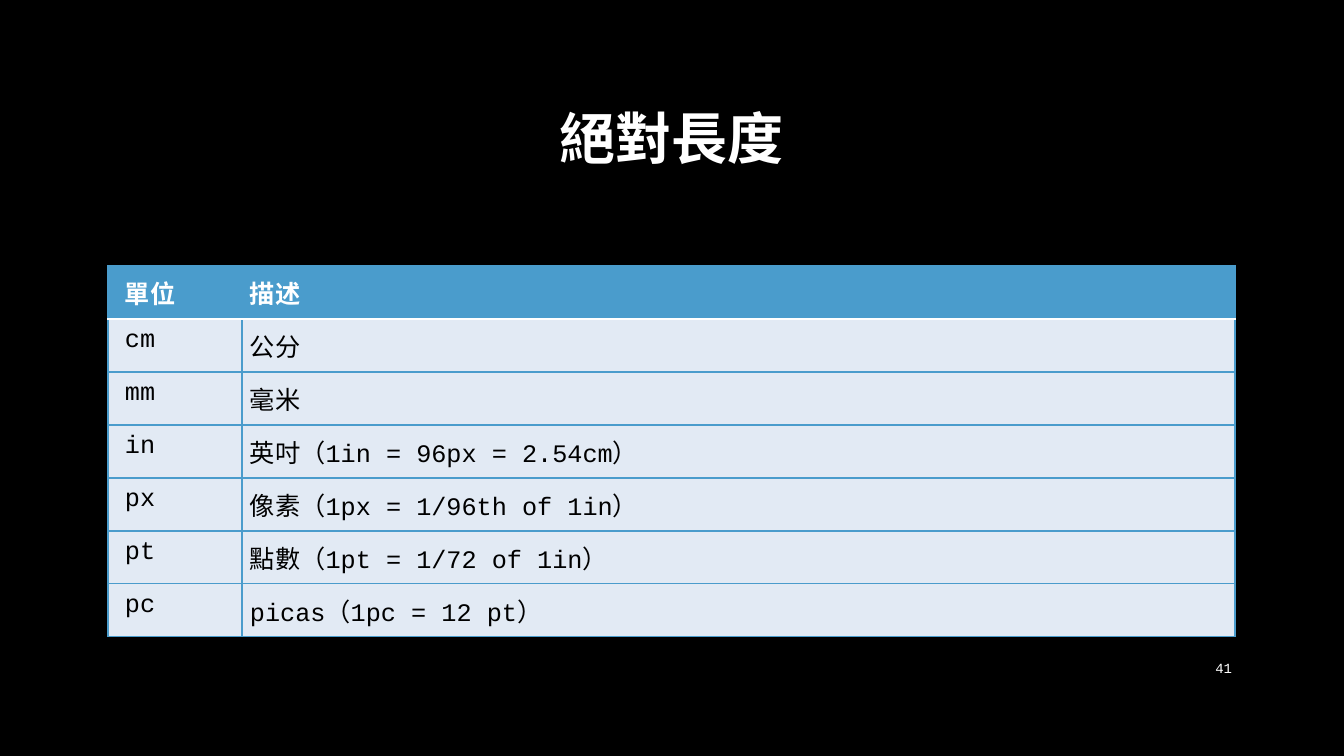
from pptx import Presentation
from pptx.dml.color import RGBColor as RGB
from pptx.enum.text import MSO_ANCHOR as Anchor, PP_ALIGN as Align
from pptx.oxml import parse_xml
from pptx.oxml.ns import nsdecls
from pptx.util import Pt

SCALE = 914400 / 100.8
BLACK, WHITE, BLUE, PALE = "000000", "FFFFFF", "4A9CCC", "E2EAF4"


def px(n):
    return round(n * SCALE)


def color(code):
    return RGB.from_string(code)


class Deck:
    font = "Courier New"

    def __init__(self):
        self.show = Presentation()
        self.show.slide_width, self.show.slide_height = px(1344), px(756)
        self.slide = self.show.slides.add_slide(self.show.slide_layouts[6])
        fill = self.slide.background.fill
        fill.solid()
        fill.fore_color.rgb = color(BLACK)

    def label(self, frame, text, size, ink, bold=False, align=Align.LEFT):
        line = frame.paragraphs[0]
        line.text = text
        line.alignment = align
        font = line.font
        font.name, font.size, font.bold = self.font, Pt(size), bold
        font.color.rgb = color(ink)
        return line

    def text(self, left, top, width, height, text, size, align, bold=False):
        box = self.slide.shapes.add_textbox(*map(px, (left, top, width, height)))
        frame = box.text_frame
        frame.word_wrap = True
        frame.vertical_anchor = Anchor.MIDDLE
        return self.label(frame, text, size, WHITE, bold, align)

    def edge(self, cell, side, ink, width):
        cell._tc.get_or_add_tcPr().append(parse_xml(
            f'<a:ln{side} {nsdecls("a")} w="{Pt(width)}"><a:solidFill>'
            f'<a:srgbClr val="{ink}"/></a:solidFill></a:ln{side}>'))

    def cell(self, cell, text, head, first):
        cell.margin_left = px(17 if first else 8)
        cell.margin_right = cell.margin_top = cell.margin_bottom = px(8)
        self.label(cell.text_frame, text, 18, WHITE if head else BLACK, head)
        for side in "LRTB":
            if head and side == "B":
                self.edge(cell, side, WHITE, 1.5)
            else:
                self.edge(cell, side, BLUE, 1)
        cell.fill.solid()
        cell.fill.fore_color.rgb = color(BLUE if head else PALE)

    def table(self, left, top, widths, height, rows):
        grid = self.slide.shapes.add_table(
            len(rows), len(widths), px(left), px(top),
            px(sum(widths)), px(height * len(rows))).table
        for col, width in zip(grid.columns, widths):
            col.width = px(width)
        for r, row in enumerate(rows):
            for c, text in enumerate(row):
                self.cell(grid.cell(r, c), text, r == 0, c == 0)


UNITS = [
    ("單位", "描述"),
    ("cm", "公分"),
    ("mm", "毫米"),
    ("in", "英吋（1in = 96px = 2.54cm）"),
    ("px", "像素（1px = 1/96th of 1in）"),
    ("pt", "點數（1pt = 1/72 of 1in）"),
    ("pc", "picas（1pc = 12 pt）"),
]


def main():
    deck = Deck()
    # Title
    title = deck.text(101, 68, 1141, 146, "絕對長度", 40, Align.CENTER, True)
    title.line_spacing = 0.9
    # Table of units
    deck.table(108, 266, (134, 993), 53, UNITS)
    # Page number
    deck.text(1159, 648, 83, 40, "41", 10, Align.RIGHT)
    deck.show.save("out.pptx")


if __name__ == "__main__":
    main()
